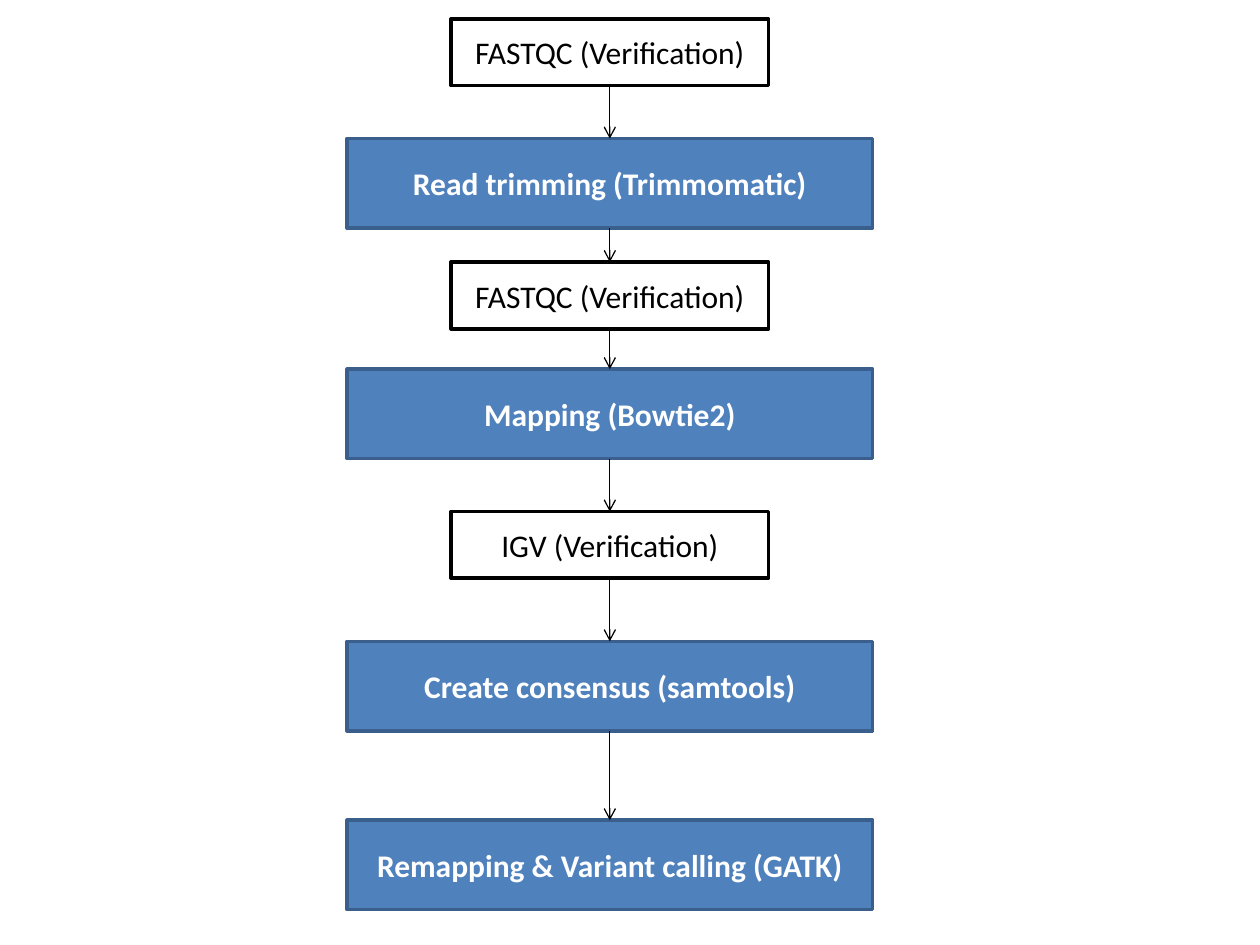
from itertools import pairwise

from lxml import etree
from pptx import Presentation
from pptx.dml.color import RGBColor
from pptx.enum import shapes, text
from pptx.oxml import ns
from pptx.util import Inches, Pt

BLUE = RGBColor(0x4F, 0x81, 0xBD)
DARK_BLUE = RGBColor(0x3A, 0x5F, 0x8C)
WHITE = RGBColor(0xFF, 0xFF, 0xFF)
BLACK = RGBColor(0x00, 0x00, 0x00)

CENTER = 4.84
STYLES = {
    "process": dict(width=4.17, height=0.71, fill=BLUE, border=DARK_BLUE, color=WHITE, bold=True),
    "check": dict(width=2.52, height=0.53, fill=WHITE, border=BLACK, color=BLACK, bold=False),
}
STEPS = [
    ("FASTQC (Verification)", "check", 0.15),
    ("Read trimming (Trimmomatic)", "process", 1.1),
    ("FASTQC (Verification)", "check", 2.08),
    ("Mapping (Bowtie2)", "process", 2.93),
    ("IGV (Verification)", "check", 4.06),
    ("Create consensus (samtools)", "process", 5.09),
    ("Remapping & Variant calling (GATK)", "process", 6.51),
]


def add_step(slide, label, *, top, width, height, fill, border, color, bold):
    step = slide.shapes.add_shape(
        shapes.MSO_SHAPE.RECTANGLE,
        Inches(CENTER - width / 2), Inches(top), Inches(width), Inches(height),
    )
    step.shadow.inherit = False
    step.fill.solid()
    step.fill.fore_color.rgb = fill
    step.line.color.rgb = border
    step.line.width = Pt(2)
    frame = step.text_frame
    frame.word_wrap = True
    frame.vertical_anchor = text.MSO_ANCHOR.MIDDLE
    paragraph = frame.paragraphs[0]
    paragraph.alignment = text.PP_ALIGN.CENTER
    run = paragraph.add_run()
    run.text = label
    run.font.name = "Calibri"
    run.font.size = Pt(18)
    run.font.bold = bold
    run.font.color.rgb = color
    return step


def add_arrow(slide, upper, lower):
    arrow = slide.shapes.add_connector(shapes.MSO_CONNECTOR.STRAIGHT, 0, 0, 0, 0)
    arrow.begin_connect(upper, 2)
    arrow.end_connect(lower, 0)
    arrow.line.color.rgb = BLACK
    arrow.line.width = Pt(0.75)
    etree.SubElement(arrow.line._get_or_add_ln(), ns.qn("a:tailEnd"), type="arrow")
    etree.SubElement(arrow._element.spPr, ns.qn("a:effectLst"))


def main():
    deck = Presentation()
    deck.slide_width, deck.slide_height = Inches(10), Inches(7.5)
    slide = deck.slides.add_slide(deck.slide_layouts[6])
    steps = [add_step(slide, label, top=top, **STYLES[kind]) for label, kind, top in STEPS]
    for upper, lower in pairwise(steps):
        add_arrow(slide, upper, lower)
    deck.save("out.pptx")


if __name__ == "__main__":
    main()
